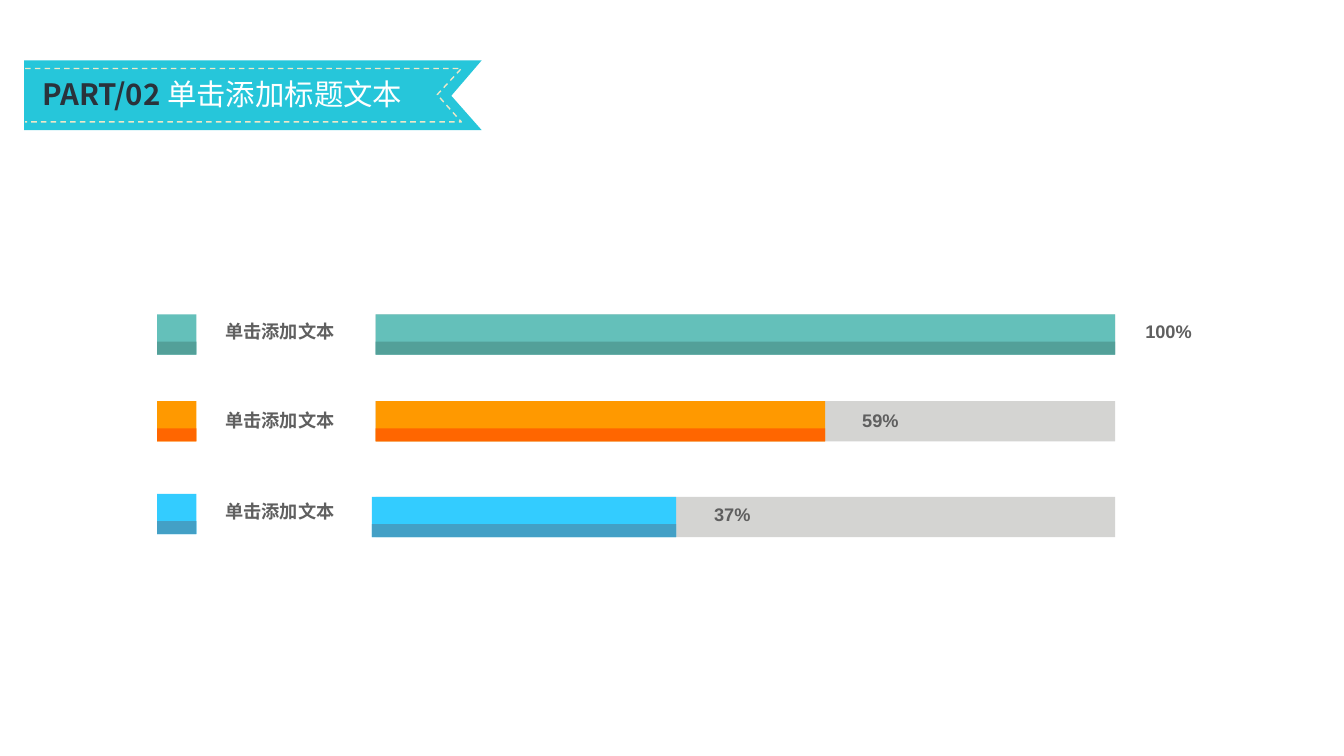
"""Build a slide with a ribbon title and three labelled progress bars."""
from lxml.etree import SubElement
from pptx import Presentation
from pptx.dml.color import RGBColor
from pptx.enum.dml import MSO_LINE
from pptx.enum.shapes import MSO_SHAPE
from pptx.enum.text import MSO_ANCHOR, MSO_AUTO_SIZE, PP_ALIGN
from pptx.oxml.ns import qn
from pptx.util import Pt

PX = 9144
SLIDE_SIZE = (1334, 750)
LATIN_FONT, CJK_FONT = "Arial", "Noto Sans CJK SC"
COLORS = {
    "ribbon": "26C6DA", "stitch": "EDE8C8", "part": "2A323B", "heading": "FFFFFF",
    "track": "D4D4D2", "label": "5F5F5F",
    "teal": "64C0BA", "teal_edge": "53A099",
    "orange": "FF9900", "orange_edge": "FF6600",
    "blue": "33CCFF", "blue_edge": "43A0C6",
}
TITLE_RUNS = [
    ("PART/02 ", CJK_FONT, "part", True),
    ("单击添加标题文本", LATIN_FONT, "heading", False),
]
RIBBON = [(478, 129), (24, 129), (24, 60), (478, 60), (448, 95)]
STITCH = [(25, 68), (458, 68), (434, 94), (458, 121), (25, 121)]
ROWS = [
    dict(label="单击添加文本", value="100%", color="teal", key_top=312, bar_top=312,
         bar_left=373, bar_width=734, label_top=313, value_left=1127, value_top=313),
    dict(label="单击添加文本", value="59%", color="orange", key_top=398, bar_top=398,
         bar_left=373, bar_width=446, label_top=401, value_left=846, value_top=401),
    dict(label="单击添加文本", value="37%", color="blue", key_top=490, bar_top=493,
         bar_left=369, bar_width=302, label_top=491, value_left=699, value_top=494),
]
TRACK_LEFT, TRACK_WIDTH = 373, 734
KEY_LEFT, KEY_WIDTH = 156, 39
BAR_HEIGHT, EDGE_HEIGHT = 40, 13
LABEL_LEFT, LABEL_WIDTH, VALUE_WIDTH, TEXT_HEIGHT = 214, 128, 66, 32


def rgb(name):
    return RGBColor.from_string(COLORS[name])


def emu(*lengths):
    return [length * PX for length in lengths]


def add_bar(slide, left, top, width, height, color):
    bar = slide.shapes.add_shape(MSO_SHAPE.RECTANGLE, *emu(left, top, width, height))
    bar.shadow.inherit = False
    bar.fill.solid()
    bar.fill.fore_color.rgb = rgb(color)
    bar.line.fill.background()


def add_edged_bar(slide, left, top, width, color):
    add_bar(slide, left, top, width, BAR_HEIGHT, color)
    edge_top = top + BAR_HEIGHT - EDGE_HEIGHT
    add_bar(slide, left, edge_top, width, EDGE_HEIGHT, f"{color}_edge")


def add_outline(slide, points, close):
    builder = slide.shapes.build_freeform(*points[0], scale=PX)
    builder.add_line_segments(points[1:], close=close)
    outline = builder.convert_to_shape()
    outline.shadow.inherit = False
    return outline


def set_cjk_font(run):
    SubElement(run._r.get_or_add_rPr(), qn("a:ea"), typeface=CJK_FONT)


def add_label(slide, words, left, top, width):
    label = slide.shapes.add_textbox(*emu(left, top, width, TEXT_HEIGHT))
    label.text_frame.word_wrap = False
    paragraph = label.text_frame.paragraphs[0]
    run = paragraph.add_run()
    run.text = words
    set_cjk_font(run)
    paragraph.font.name = LATIN_FONT
    paragraph.font.size = Pt(13)
    paragraph.font.bold = True
    paragraph.font.color.rgb = rgb("label")


def add_title(slide):
    ribbon = add_outline(slide, RIBBON, True)
    ribbon.fill.solid()
    ribbon.fill.fore_color.rgb = rgb("ribbon")
    ribbon.line.fill.background()

    stitch = add_outline(slide, STITCH, False)
    stitch.fill.background()
    stitch.line.color.rgb = rgb("stitch")
    stitch.line.width = Pt(1)
    stitch.line.dash_style = MSO_LINE.DASH

    title = slide.shapes.title
    title.left, title.top, title.width, title.height = emu(32, 70, 388, 45)
    title.element.getparent().append(title.element)
    frame = title.text_frame
    frame.word_wrap = False
    frame.auto_size = MSO_AUTO_SIZE.NONE
    frame.vertical_anchor = MSO_ANCHOR.MIDDLE
    paragraph = frame.paragraphs[0]
    paragraph.alignment = PP_ALIGN.LEFT
    paragraph.font.size = Pt(21)
    for words, font_name, color, bold in TITLE_RUNS:
        run = paragraph.add_run()
        run.text = words
        run.font.size = Pt(21)
        run.font.bold = bold
        run.font.color.rgb = rgb(color)
        run.font.name = font_name
        set_cjk_font(run)


def main():
    deck = Presentation()
    deck.slide_width, deck.slide_height = emu(*SLIDE_SIZE)
    slide = deck.slides.add_slide(deck.slide_layouts[5])
    add_title(slide)
    for row in ROWS:
        add_bar(slide, TRACK_LEFT, row["bar_top"], TRACK_WIDTH, BAR_HEIGHT, "track")
        add_edged_bar(slide, KEY_LEFT, row["key_top"], KEY_WIDTH, row["color"])
        add_edged_bar(slide, row["bar_left"], row["bar_top"], row["bar_width"], row["color"])
        add_label(slide, row["label"], LABEL_LEFT, row["label_top"], LABEL_WIDTH)
        add_label(slide, row["value"], row["value_left"], row["value_top"], VALUE_WIDTH)
    deck.save("out.pptx")


if __name__ == "__main__":
    main()
